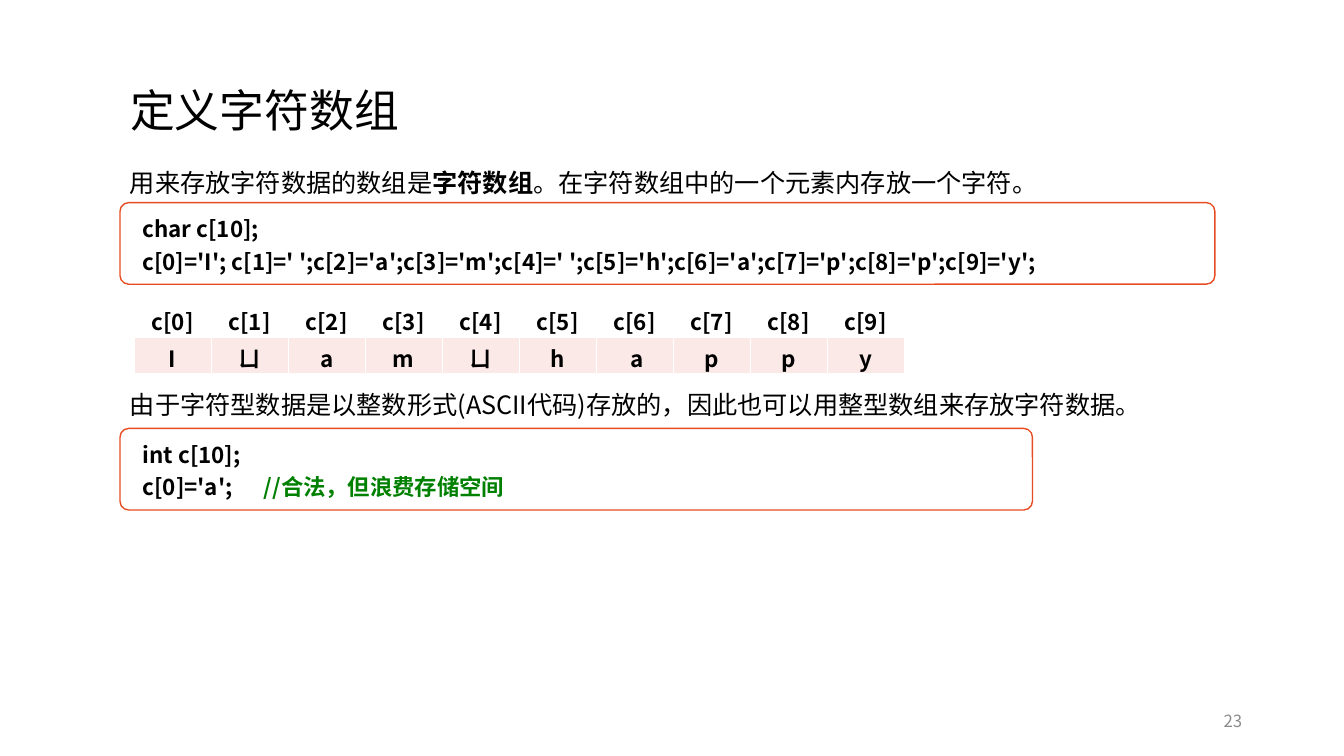
import pptx
import pptx.dml.color
import pptx.enum.shapes
import pptx.enum.text
import pptx.oxml
import pptx.oxml.ns
import pptx.util
from pptx.util import Inches

FONT = "Noto Sans CJK SC"
BLACK, WHITE, ORANGE = "000000", "FFFFFF", "E84C22"
PINK, GREEN, GRAY = "FBE9E8", "008000", "8C8C8C"
ALIGN = pptx.enum.text.PP_ALIGN
ANCHOR = pptx.enum.text.MSO_ANCHOR
LEFT = 1.19


def color(value):
    return pptx.dml.color.RGBColor.from_string(value)


def element(tag, **attributes):
    node = pptx.oxml.parse_xml(f"<{tag} {pptx.oxml.ns.nsdecls('a')}/>")
    for name, value in attributes.items():
        node.set(name, value)
    return node


def add_run(paragraph, text, size=18, bold=False, fill=BLACK):
    run = paragraph.add_run()
    run.text = text
    run.font.size = pptx.util.Pt(size)
    run.font.bold = bold
    run.font.name = FONT
    run.font.color.rgb = color(fill)
    run.font._element.find(pptx.oxml.ns.qn("a:latin")).addnext(
        element("a:ea", typeface=FONT))


def write(frame, lines, align=ALIGN.LEFT, spacing=None, tab=None, **style):
    """Each line is a list of (text, changed format) pairs."""
    for index, line in enumerate(lines):
        paragraph = frame.paragraphs[0] if index == 0 else frame.add_paragraph()
        paragraph.alignment = align
        paragraph.line_spacing = spacing
        if tab:
            stops = element("a:tabLst")
            stops.append(element("a:tab", pos=str(tab), algn="l"))
            paragraph._p.get_or_add_pPr().append(stops)
        for text, changes in line:
            add_run(paragraph, text, **{**style, **changes})


def add_text(slide, box, line, anchor=ANCHOR.TOP, **style):
    shape = slide.shapes.add_textbox(*map(Inches, box))
    shape.text_frame.word_wrap = True
    shape.text_frame.vertical_anchor = anchor
    write(shape.text_frame, [line], **style)


def add_title(slide, text):
    title = slide.shapes.title
    title.left, title.top = Inches(LEFT), Inches(0.4)
    title.width, title.height = Inches(6.48), Inches(1.45)
    title.text_frame.auto_size = pptx.enum.text.MSO_AUTO_SIZE.NONE
    title.text_frame.vertical_anchor = ANCHOR.MIDDLE
    write(title.text_frame, [[(text, {})]], spacing=0.9, size=32)


def add_code(slide, top, width, lines, tab=None):
    shape = slide.shapes.add_shape(
        pptx.enum.shapes.MSO_SHAPE.ROUNDED_RECTANGLE,
        Inches(LEFT), Inches(top), Inches(width), Inches(0.81))
    shape.adjustments[0] = 0.107
    shape.shadow.inherit = False
    shape.fill.solid()
    shape.fill.fore_color.rgb = color(WHITE)
    shape.line.color.rgb = color(ORANGE)
    shape.line.width = pptx.util.Pt(1)
    frame = shape.text_frame
    frame.word_wrap = True
    frame.margin_left = Inches(0.2)
    frame.vertical_anchor = ANCHOR.TOP
    write(frame, lines, spacing=1.2, tab=tab, size=16, bold=True)


def add_borders(cell, sides):
    for side in sides:
        line = element(f"a:ln{side}", w=str(pptx.util.Pt(1)))
        fill = element("a:solidFill")
        fill.append(element("a:srgbClr", val=WHITE))
        line.append(fill)
        cell._tc.get_or_add_tcPr().append(line)


def add_array_table(slide, values):
    count = len(values)
    table = slide.shapes.add_table(
        2, count, Inches(1.33), Inches(2.98), Inches(7.64), Inches(0.73)).table
    table.first_row = table.horz_banding = False
    for column, value in enumerate(values):
        for row, text in enumerate((f"c[{column}]", value)):
            cell = table.cell(row, column)
            cell.margin_top, cell.margin_bottom = Inches(0.04), 0
            write(cell.text_frame, [[(text, {})]], align=ALIGN.CENTER,
                  size=16, bold=True)
            if row == 0:
                cell.fill.background()
            else:
                add_borders(cell, "LRB")
                cell.fill.solid()
                cell.fill.fore_color.rgb = color(PINK)


def main():
    presentation = pptx.Presentation()
    presentation.slide_width = Inches(13.33)
    presentation.slide_height = Inches(7.5)
    slide = presentation.slides.add_slide(presentation.slide_layouts[5])

    add_title(slide, "定义字符数组")

    # Character array: definition, assignments and contents
    add_text(slide, (LEFT, 1.61, 9.69, 0.4), [
        ("用来存放字符数据的数组是", {}), ("字符数组", {"bold": True}),
        ("。在字符数组中的一个元素内存放一个字符。", {})])
    add_code(slide, 2.01, 10.86, [
        [("char c[10];", {})],
        [("c[0]='I'; c[1]=' ';c[2]='a';c[3]='m';c[4]=' ';c[5]='h';"
          "c[6]='a';c[7]='p';c[8]='p';c[9]='y';", {})]])
    add_array_table(slide, ["I", "ㄩ", "a", "m", "ㄩ", "h", " a", "p", "p", "y"])

    # Integer array holding characters
    add_text(slide, (LEFT, 3.81, 10.52, 0.4), [
        ("由于字符型数据是以整数形式(ASCII代码)存放的，"
         "因此也可以用整型数组来存放字符数据。", {})])
    add_code(slide, 4.25, 9.05, [
        [("int c[10];", {})],
        [("c[0]='a'; \t", {}), ("//合法，但浪费存储空间", {"fill": GREEN})]],
        tab=Inches(1.2))

    # Page number
    add_text(slide, (9.42, 6.95, 3, 0.4), [("23", {})], anchor=ANCHOR.MIDDLE,
             align=ALIGN.RIGHT, size=12, fill=GRAY)

    presentation.save("out.pptx")


if __name__ == "__main__":
    main()
